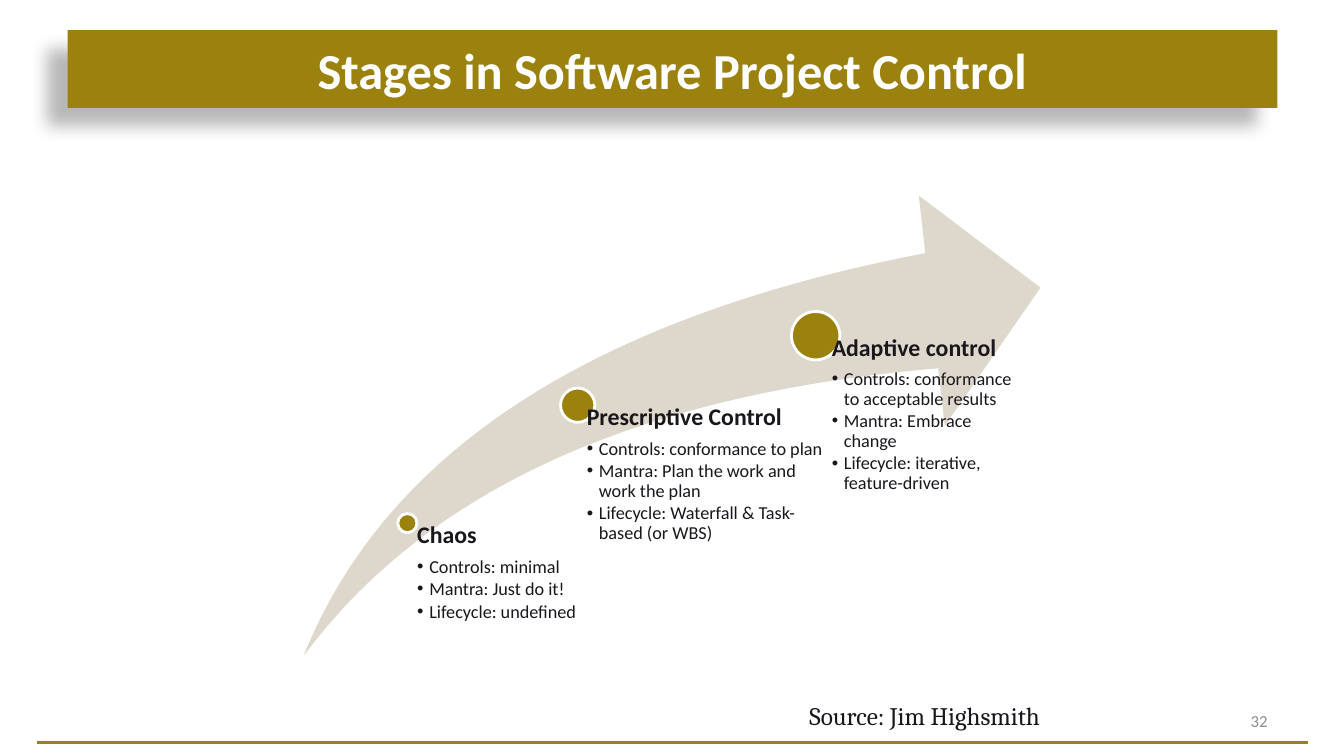
from lxml.etree import SubElement
from pptx import Presentation
from pptx.dml.color import RGBColor
from pptx.enum.shapes import MSO_CONNECTOR, MSO_SHAPE
from pptx.enum.text import MSO_ANCHOR, MSO_AUTO_SIZE, PP_ALIGN
from pptx.oxml.ns import qn
from pptx.util import Inches, Pt

TITLE = "Stages in Software Project Control"
SOURCE = "Source: Jim Highsmith"
PAGE_NUMBER = "32"
STAGES = [
    {"name": "Chaos", "dot": (4.04, 5.19, 0.19),
     "left": 4.04, "width": 1.7, "inset": 0.1,
     "traits": ["Controls: minimal", "Mantra: Just do it!",
                "Lifecycle: undefined"]},
    {"name": "Prescriptive Control", "dot": (5.73, 4.02, 0.34),
     "left": 5.64, "width": 2.52, "inset": 0.18,
     "traits": ["Controls: conformance to plan",
                "Mantra: Plan the work and work the plan",
                "Lifecycle: Waterfall & Task-based (or WBS)"]},
    {"name": "Adaptive control", "dot": (8.09, 3.33, 0.48),
     "left": 8, "width": 2.13, "inset": 0.25,
     "traits": ["Controls: conformance to acceptable results",
                "Mantra: Embrace change",
                "Lifecycle: iterative, feature-driven"]},
]

GOLD, SAND, INK, GREY, WHITE = "9B810D", "DED8CC", "19171C", "8C8C8D", "FFFFFF"
SLIDE_W, SLIDE_H = 13.33, 7.5
ARROW = (3.01, 1.94, 7.31, 4.57)
ARROW_BOTTOM = ARROW[1] + ARROW[3]
BULLET_INDENT = 0.12

STAGE_NAME = {"size": Pt(17), "bold": True}
TRAIT = {"size": Pt(13), "bold": False}


def color(hex_value):
    return RGBColor.from_string(hex_value)


def inches(values):
    return [Inches(value) for value in values]


def style(paragraph, text, font_format, hex_value=INK, face="Calibri", **layout):
    paragraph.add_run().text = text
    font = paragraph.runs[0].font
    font.name = face
    font.color.rgb = color(hex_value)
    for attribute, value in font_format.items():
        setattr(font, attribute, value)
    for attribute, value in layout.items():
        setattr(paragraph, attribute, value)


def add_bullet(paragraph):
    properties = paragraph._p.get_or_add_pPr()
    properties.set("marL", str(Inches(BULLET_INDENT)))
    properties.set("indent", str(-Inches(BULLET_INDENT)))
    SubElement(properties, qn("a:buFont"), typeface="Arial")
    SubElement(properties, qn("a:buChar"), char="•")


def add_filled(slide, preset, box, fill):
    shape = slide.shapes.add_shape(preset, *inches(box))
    shape.shadow.inherit = False
    shape.fill.solid()
    shape.fill.fore_color.rgb = color(fill)
    shape.line.fill.background()
    return shape


def add_text_frame(slide, box, **frame_format):
    frame = slide.shapes.add_textbox(*inches(box)).text_frame
    for attribute, value in frame_format.items():
        setattr(frame, attribute, value)
    return frame


def add_title(slide):
    title = slide.shapes.title
    title.left, title.top, title.width, title.height = inches((0.67, 0.3, 12, 0.77))
    title.fill.solid()
    title.fill.fore_color.rgb = color(GOLD)
    effects = SubElement(title._element.spPr, qn("a:effectLst"))
    shadow = SubElement(effects, qn("a:outerShdw"), blurRad=str(Pt(11.8)),
                        dist=str(Pt(19.7)), dir=str(141 * 60000),
                        algn="tr", rotWithShape="0")
    black = SubElement(shadow, qn("a:srgbClr"), val="000000")
    SubElement(black, qn("a:alpha"), val="28000")
    frame = title.text_frame
    frame.auto_size = MSO_AUTO_SIZE.NONE
    frame.vertical_anchor = MSO_ANCHOR.MIDDLE
    style(frame.paragraphs[0], TITLE, {"size": Pt(36), "bold": True}, WHITE,
          alignment=PP_ALIGN.CENTER)


def add_footer(slide):
    rule = slide.shapes.add_connector(
        MSO_CONNECTOR.STRAIGHT, *inches((0.37, 7.37, SLIDE_W - 0.36, 7.37)))
    rule.line.color.rgb = color(GOLD)
    rule.line.width = Pt(2.25)
    SubElement(rule._element.spPr, qn("a:effectLst"))
    number = add_text_frame(slide, (9.56, 6.95, 3.11, 0.4), word_wrap=True,
                            vertical_anchor=MSO_ANCHOR.MIDDLE)
    style(number.paragraphs[0], PAGE_NUMBER, {"size": Pt(12)}, GREY,
          alignment=PP_ALIGN.RIGHT)
    source = add_text_frame(slide, (7.93, 6.9, 2.53, 0.4), word_wrap=False,
                            auto_size=MSO_AUTO_SIZE.SHAPE_TO_FIT_TEXT)
    style(source.paragraphs[0], SOURCE, {"size": Pt(18)}, face="Cambria")


def add_stage(slide, stage):
    center_x, center_y, diameter = stage["dot"]
    dot = add_filled(slide, MSO_SHAPE.OVAL,
                     (center_x - diameter / 2, center_y - diameter / 2,
                      diameter, diameter), GOLD)
    dot.line.color.rgb = color(WHITE)
    dot.line.width = Pt(2)
    frame = add_text_frame(
        slide, (stage["left"], center_y, stage["width"], ARROW_BOTTOM - center_y),
        word_wrap=True, margin_left=Inches(stage["inset"]),
        margin_top=0, margin_right=0, margin_bottom=0)
    style(frame.paragraphs[0], stage["name"], STAGE_NAME,
          line_spacing=0.9, space_after=Pt(6))
    for trait in stage["traits"]:
        paragraph = frame.add_paragraph()
        add_bullet(paragraph)
        style(paragraph, trait, TRAIT, level=1, line_spacing=0.9, space_after=Pt(2))


def main():
    deck = Presentation()
    deck.slide_width, deck.slide_height = inches((SLIDE_W, SLIDE_H))
    slide = deck.slides.add_slide(deck.slide_layouts[5])
    add_title(slide)
    add_footer(slide)
    arrow = add_filled(slide, MSO_SHAPE.SWOOSH_ARROW, ARROW, SAND)
    arrow.adjustments[0] = arrow.adjustments[1] = 0.25
    for stage in STAGES:
        add_stage(slide, stage)
    deck.save("out.pptx")


if __name__ == "__main__":
    main()
